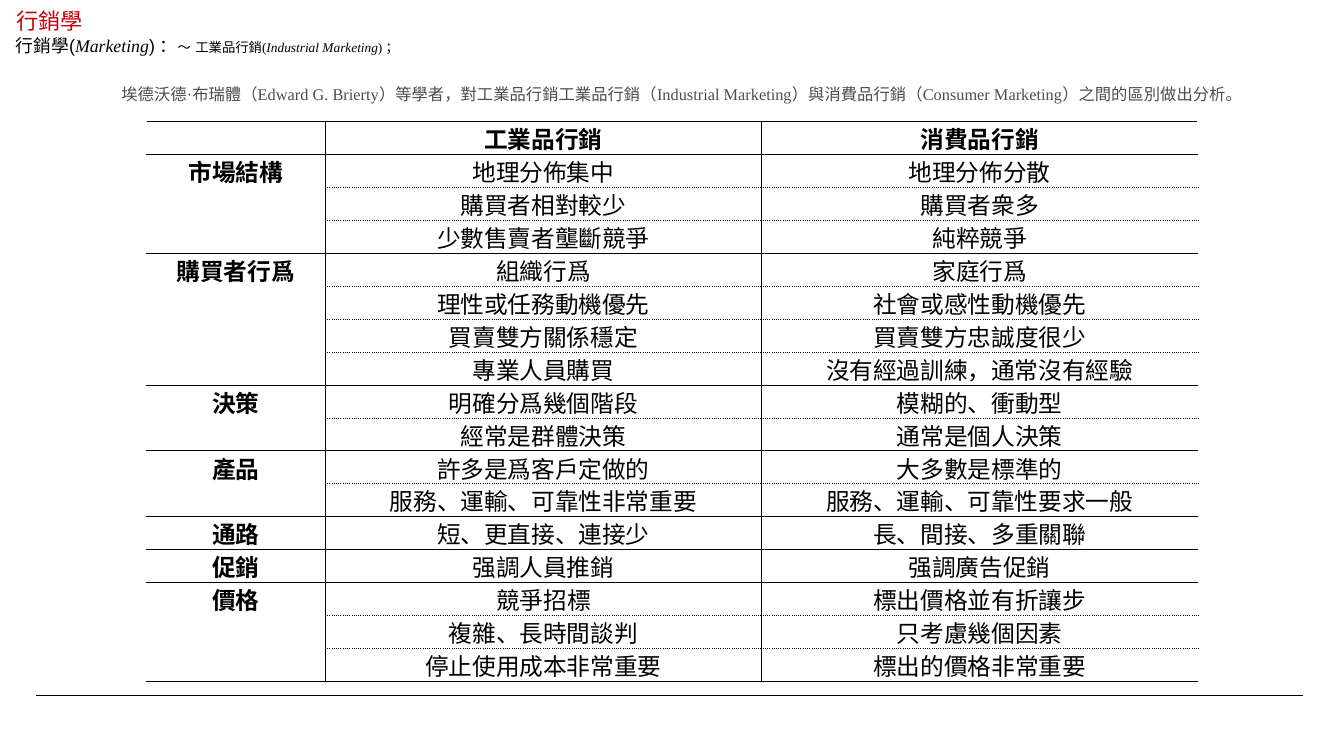
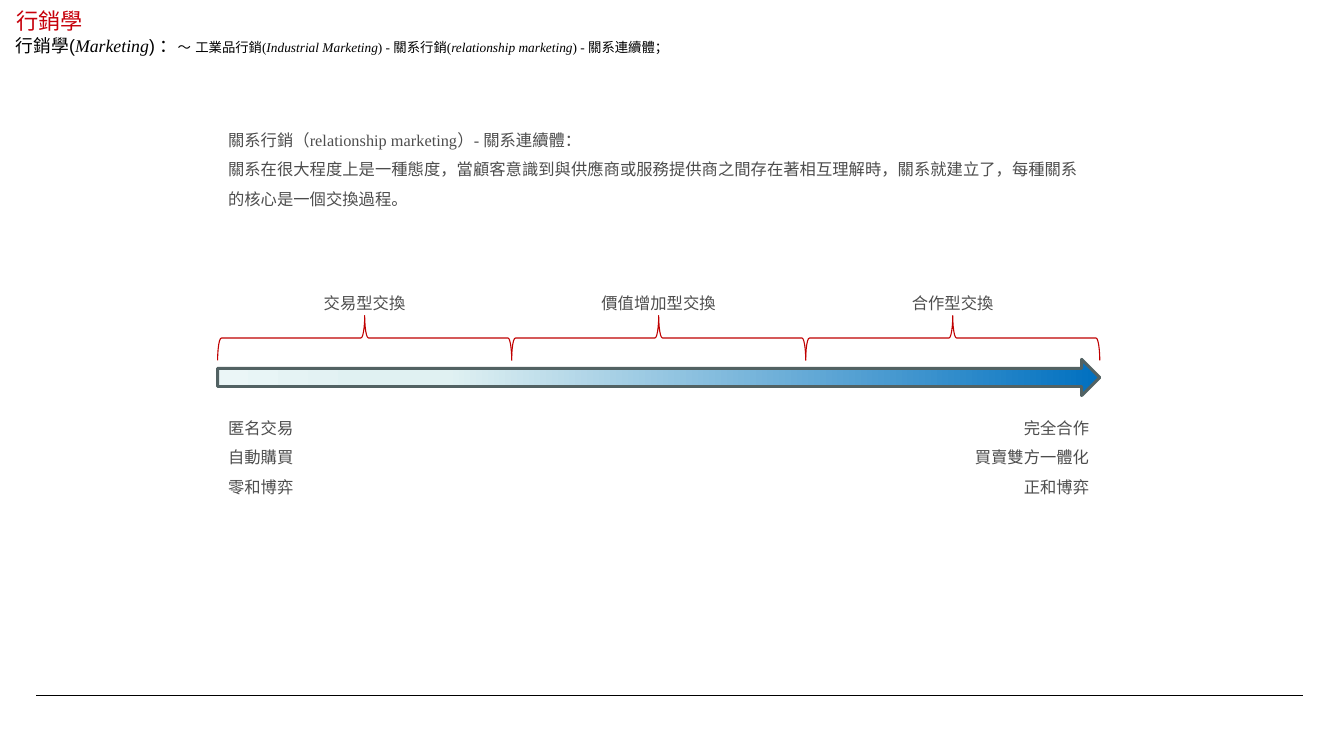
from lxml.etree import SubElement
from pptx import Presentation
from pptx.dml.color import RGBColor
from pptx.enum.shapes import MSO_CONNECTOR, MSO_SHAPE
from pptx.enum.text import MSO_ANCHOR, MSO_AUTO_SIZE, PP_ALIGN
from pptx.oxml.ns import qn
from pptx.util import Inches, Pt

COLORS = {
    "title": "C7000B",
    "black": "000000",
    "body": "4D4D4D",
    "brace": "C00000",
    "arrow_line": "526263",
}
ARROW_STOPS = [(0, "EBF6F7"), (17, "E0F1F2"), (26, "E0F1F2"), (100, "0070C0")]
SANS, SERIF, TABLE_FONT = "Arial", "Times New Roman", "Noto Sans CJK SC"

# Breadcrumb runs: text, size, font, italic
BREADCRUMB_START = [
    ("行銷學(", 12, SANS, False),
    ("Marketing", 12, SERIF, True),
    (") ：", 12, SANS, False),
    ("～", 9, SANS, False),
    (" ", 13, SANS, False),
    ("工業品行銷(", 9, SERIF, False),
    ("Industrial Marketing", 9, SERIF, True),
]

TABLE_HEADER = ["工業品行銷", "消費品行銷"]
TABLE_GROUPS = [
    ("市場結構", [("地理分佈集中", "地理分佈分散"),
              ("購買者相對較少", "購買者衆多"),
              ("少數售賣者壟斷競爭", "純粹競爭")]),
    ("購買者行爲", [("組織行爲", "家庭行爲"),
               ("理性或任務動機優先", "社會或感性動機優先"),
               ("買賣雙方關係穩定", "買賣雙方忠誠度很少"),
               ("專業人員購買", "沒有經過訓練，通常沒有經驗")]),
    ("決策", [("明確分爲幾個階段", "模糊的、衝動型"),
            ("經常是群體決策", "通常是個人決策")]),
    ("產品", [("許多是爲客戶定做的", "大多數是標準的"),
            ("服務、運輸、可靠性非常重要", "服務、運輸、可靠性要求一般")]),
    ("通路", [("短、更直接、連接少", "長、間接、多重關聯")]),
    ("促銷", [("强調人員推銷", "强調廣告促銷")]),
    ("價格", [("競爭招標", "標出價格並有折讓步"),
            ("複雜、長時間談判", "只考慮幾個因素"),
            ("停止使用成本非常重要", "標出的價格非常重要")]),
]

# Border kinds: width in points, dash
THICK, THIN, DOTTED = (0.75, "solid"), (0.5, "solid"), (0.25, "sysDot")


def color(name):
    return RGBColor.from_string(COLORS[name])


def format_font(font, size, name, color_name, bold=False, italic=False):
    font.size = Pt(size)
    font.name = name
    font.bold = bold
    font.italic = italic
    font.color.rgb = color(color_name)


def place(shape, left, top, width, height):
    shape.left, shape.top = Inches(left), Inches(top)
    shape.width, shape.height = Inches(width), Inches(height)


def add_text(slide, lines, left, top, width, height, align=PP_ALIGN.LEFT):
    box = slide.shapes.add_textbox(
        Inches(left), Inches(top), Inches(width), Inches(height))
    frame = box.text_frame
    frame.word_wrap = True
    frame.text = "\n".join(lines)
    for paragraph in frame.paragraphs:
        paragraph.alignment = align
        paragraph.line_spacing = 1.5
        format_font(paragraph.font, 11, SERIF, "body")


def add_breadcrumb(slide, runs):
    box = slide.shapes.add_textbox(
        Inches(0.05), Inches(0.26), Inches(10.43), Inches(0.32))
    box.text_frame.word_wrap = True
    paragraph = box.text_frame.paragraphs[0]
    for text, size, font_name, italic in runs:
        run = paragraph.add_run()
        run.text = text
        format_font(run.font, size, font_name, "black", italic=italic)


def add_base_slide(presentation, breadcrumb_end):
    """Slide with the shared title, breadcrumb and bottom rule."""
    slide = presentation.slides.add_slide(presentation.slide_layouts[5])

    rule = slide.shapes.add_connector(
        MSO_CONNECTOR.STRAIGHT,
        Inches(0.34), Inches(6.52), Inches(12.22), Inches(6.52))
    rule.line.color.rgb = color("black")
    rule.line.width = Pt(0.5)
    SubElement(rule._element.spPr, qn("a:effectLst"))

    title = slide.shapes.title
    place(title, 0.05, 0.07, 9.32, 0.24)
    frame = title.text_frame
    frame.text = "行銷學"
    frame.auto_size = MSO_AUTO_SIZE.NONE
    frame.vertical_anchor = MSO_ANCHOR.MIDDLE
    frame.paragraphs[0].alignment = PP_ALIGN.LEFT
    format_font(frame.paragraphs[0].font, 15, SANS, "title")

    add_breadcrumb(slide, BREADCRUMB_START + breadcrumb_end)
    return slide


def format_cell(cell, borders, text="", bold=False):
    """Fill a cell; borders maps L, R, T and B to a border kind."""
    cell.margin_left = cell.margin_right = Inches(0.07)
    cell.margin_top = cell.margin_bottom = 0
    cell.vertical_anchor = MSO_ANCHOR.MIDDLE
    properties = cell._tc.get_or_add_tcPr()
    for side in "LRTB":
        if borders.get(side):
            width, dash = borders[side]
            line = SubElement(properties, qn(f"a:ln{side}"), w=str(Pt(width)))
            fill = SubElement(line, qn("a:solidFill"))
            SubElement(fill, qn("a:srgbClr"), val=COLORS["black"])
            SubElement(line, qn("a:prstDash"), val=dash)
    cell.fill.background()
    cell.text = text
    paragraph = cell.text_frame.paragraphs[0]
    paragraph.alignment = PP_ALIGN.CENTER
    format_font(paragraph.font, 16, TABLE_FONT, "black", bold=bold)


def format_row_values(table, row, values, top, bottom, bold=False):
    format_cell(table.cell(row, 1),
                {"L": THICK, "R": THIN, "T": top, "B": bottom}, values[0], bold)
    format_cell(table.cell(row, 2),
                {"L": THIN, "T": top, "B": bottom}, values[1], bold)


def add_comparison_table(slide):
    row_count = 1 + sum(len(rows) for _, rows in TABLE_GROUPS)
    table = slide.shapes.add_table(
        row_count, 3, Inches(1.37), Inches(1.14),
        Inches(9.85), Inches(5.25)).table
    table.first_row = table.horz_banding = False
    for column, width in zip(table.columns, (1.68, 4.09, 4.09)):
        column.width = Inches(width)

    # Header row
    format_cell(table.cell(0, 0), {"R": THICK, "T": THICK, "B": THICK})
    format_row_values(table, 0, TABLE_HEADER, THICK, THICK, bold=True)

    # One merged label per group, dotted lines inside the group
    first = 1
    for label, rows in TABLE_GROUPS:
        last = first + len(rows) - 1
        group_top = THICK if first == 1 else THIN
        group_bottom = THICK if last == row_count - 1 else THIN
        for row, values in enumerate(rows, first):
            top = group_top if row == first else DOTTED
            bottom = group_bottom if row == last else DOTTED
            format_row_values(table, row, values, top, bottom)
            format_cell(table.cell(row, 0), {
                "R": THICK,
                "T": group_top if row == first else None,
                "B": group_bottom if row in (first, last) else None,
            }, label if row == first else "", bold=True)
        label_cell = table.cell(first, 0)
        if last > first:
            label_cell.merge(table.cell(last, 0))
        label_cell.vertical_anchor = MSO_ANCHOR.TOP
        first = last + 1


def add_gradient_arrow(slide, left, top, width, height):
    arrow = slide.shapes.add_shape(
        MSO_SHAPE.RIGHT_ARROW,
        Inches(left), Inches(top), Inches(width), Inches(height))
    arrow.shadow.inherit = False
    arrow.line.color.rgb = color("arrow_line")
    arrow.line.width = Pt(2)
    arrow.fill.gradient()
    arrow.fill.gradient_angle = 0
    stops = arrow._element.spPr.find(qn("a:gradFill")).find(qn("a:gsLst"))
    for stop in list(stops):
        stops.remove(stop)
    for position, hex_color in ARROW_STOPS:
        stop = SubElement(stops, qn("a:gs"), pos=str(position * 1000))
        SubElement(stop, qn("a:srgbClr"), val=hex_color)


def add_top_brace(slide, left, top, width, height):
    """Brace opening downwards: a left brace turned by 90 degrees."""
    brace = slide.shapes.add_shape(
        MSO_SHAPE.LEFT_BRACE,
        Inches(left + (width - height) / 2), Inches(top - (width - height) / 2),
        Inches(height), Inches(width))
    brace.rotation = 90
    brace.shadow.inherit = False
    brace.fill.background()
    brace.line.color.rgb = color("brace")
    brace.line.width = Pt(0.75)


def build_comparison_slide(presentation):
    slide = add_base_slide(presentation, [(") ；", 9, SERIF, False)])
    add_text(slide, [
        "埃德沃德·布瑞體（Edward G. Brierty）等學者，對工業品行銷工業品行銷"
        "（Industrial Marketing）與消費品行銷（Consumer Marketing）之間的區別做出分析。",
    ], 1.04, 0.65, 10.94, 0.34)
    add_comparison_table(slide)


def build_continuum_slide(presentation):
    slide = add_base_slide(presentation, [
        (") - 關系行銷(", 9, SERIF, False),
        ("relationship marketing", 9, SERIF, True),
        (") - 關系連續體；", 9, SERIF, False),
    ])
    left, width = 2.04, 8.27
    add_text(slide, [
        "關系行銷（relationship marketing）- 關系連續體：",
        "關系在很大程度上是一種態度，當顧客意識到與供應商或服務提供商之間存在著"
        "相互理解時，關系就建立了，每種關系的核心是一個交換過程。",
    ], left, 1.08, width, 0.9)

    # Continuum arrow with its equal stages
    add_gradient_arrow(slide, left, 3.37, width, 0.34)
    stages = ["交易型交換", "價值增加型交換", "合作型交換"]
    stage_width = width / len(stages)
    for index, stage in enumerate(stages):
        stage_left = left + index * stage_width
        add_top_brace(slide, stage_left, 2.96, stage_width, 0.42)
        add_text(slide, [stage], stage_left, 2.61, stage_width, 0.34,
                 PP_ALIGN.CENTER)

    # Traits at both ends
    add_text(slide, ["匿名交易", "自動購買", "零和博弈"], left, 3.78, 1.17, 0.9)
    add_text(slide, ["完全合作", "買賣雙方一體化", "正和博弈"],
             left + width - 1.45, 3.78, 1.45, 0.9, PP_ALIGN.RIGHT)


def main():
    presentation = Presentation()
    presentation.slide_width = Inches(12.6)
    presentation.slide_height = Inches(7.09)
    build_comparison_slide(presentation)
    build_continuum_slide(presentation)
    presentation.save("out.pptx")


if __name__ == "__main__":
    main()
